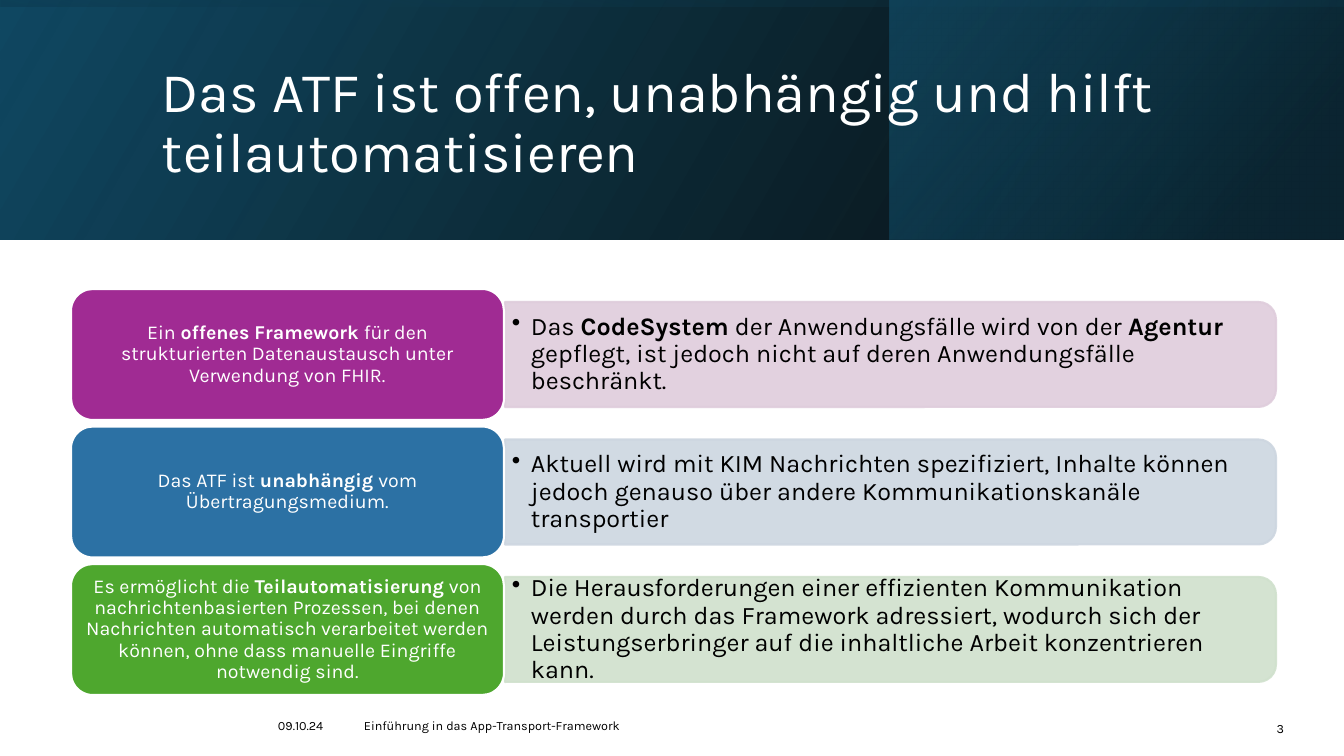
import pptx
import pptx.util
import pptx.dml.color
import pptx.enum.shapes
import pptx.enum.text
import pptx.oxml
import pptx.oxml.ns

FONT = "Karla"
TITLE = "Das ATF ist offen, unabhängig und hilft teilautomatisieren"

# Header layers: box, rotation, gradient angle, stops (position, colour, opacity)
HEADER_LAYERS = [
    ((0, 0, 1344, 240), 0, 330, [(0, "000000", 96), (100, "104862", 100)]),
    ((890, 0, 453, 240), 0, 320, [(19, "0B3041", 68), (100, "156082", 48)]),
    ((552, -552, 240, 1344), 270, 350, [(23, "104862", 16), (99, "000000", 45)]),
]

# Rows: label colour, panel colour, label runs, panel runs (text, bold)
ROWS = [
    ("A02B93", "DFCDDC",
     [("Ein ", False), ("offenes Framework ", True),
      ("für den strukturierten Datenaustausch unter Verwendung von FHIR.", False)],
     [("Das ", False), ("CodeSystem", True),
      (" der Anwendungsfälle wird von der ", False), ("Agentur ", True),
      ("gepflegt, ist jedoch nicht auf deren Anwendungsfälle beschränkt.", False)]),
    ("2C71A4", "CDD6E0",
     [("Das ATF ist ", False), ("unabhängig ", True),
      ("vom Übertragungsmedium.", False)],
     [("Aktuell wird mit KIM Nachrichten spezifiziert, Inhalte können jedoch "
       "genauso über andere Kommunikationskanäle transportier", False)]),
    ("4EA72E", "D0E1CD",
     [("Es ermöglicht die ", False), ("Teilautomatisierung", True),
      (" von nachrichtenbasierten Prozessen, bei denen Nachrichten automatisch "
       "verarbeitet werden können, ohne dass manuelle Eingriffe notwendig sind.", False)],
     [("Die Herausforderungen einer effizienten Kommunikation werden durch das "
       "Framework adressiert, wodurch sich der Leistungserbringer auf die "
       "inhaltliche Arbeit konzentrieren kann.", False)]),
]

ALIGN = pptx.enum.text.PP_ALIGN
ANCHOR = pptx.enum.text.MSO_ANCHOR
SHAPE = pptx.enum.shapes.MSO_SHAPE

FOOTER = [
    ("09.10.24", (278, 713, 76, 20), ALIGN.LEFT),
    ("Einführung in das App-Transport-Framework", (364, 713, 715, 20), ALIGN.LEFT),
    ("3", (1208, 716, 76, 20), ALIGN.RIGHT),
]

LABEL_LEFT, LABEL_WIDTH, LABEL_HEIGHT = 71, 433, 131
PANEL_LEFT, PANEL_WIDTH, PANEL_HEIGHT = 505, 771, 105
PANEL_TEXT_WIDTH, PANEL_TEXT_HEIGHT = 766, 95
FIRST_TOP, ROW_PITCH = 289, 137.5


def px(length):
    return round(length * 914400 / 100.8)


def rgb(colour):
    return pptx.dml.color.RGBColor.from_string(colour)


def add_box(kind, box):
    shape = slide.shapes.add_shape(kind, *map(px, box))
    shape.shadow.inherit = False
    return shape


def set_opacity(fill, percent):
    colour = fill._xPr.find(".//" + pptx.oxml.ns.qn("a:srgbClr"))
    alpha = colour.makeelement(pptx.oxml.ns.qn("a:alpha"), {"val": str(percent * 1000)})
    colour.append(alpha)


def set_gradient(shape, angle, stops):
    stop_xml = "".join(
        f'<a:gs pos="{position * 1000}"><a:srgbClr val="{colour}">'
        f'<a:alpha val="{opacity * 1000}"/></a:srgbClr></a:gs>'
        for position, colour, opacity in stops)
    gradient = pptx.oxml.parse_xml(
        f'<a:gradFill {pptx.oxml.ns.nsdecls("a")} rotWithShape="1">'
        f'<a:gsLst>{stop_xml}</a:gsLst>'
        f'<a:lin ang="{angle * 60000}" scaled="0"/></a:gradFill>')
    shape.fill.background()
    properties = shape._element.spPr
    properties.replace(properties.find(pptx.oxml.ns.qn("a:noFill")), gradient)


def set_frame(shape, anchor, side, top):
    frame = shape.text_frame
    frame.word_wrap = True
    frame.auto_size = pptx.enum.text.MSO_AUTO_SIZE.NONE
    frame.vertical_anchor = anchor
    frame.margin_left = frame.margin_right = px(side)
    frame.margin_top = frame.margin_bottom = px(top)
    return frame.paragraphs[0]


def write(paragraph, runs, size, colour, align, line_spacing=0.9):
    paragraph.alignment = align
    paragraph.line_spacing = line_spacing
    for text, bold in runs:
        run = paragraph.add_run()
        run.text = text
        run.font.name = FONT
        run.font.size = pptx.util.Pt(size)
        run.font.bold = bold
        run.font.color.rgb = rgb(colour)


def add_bullet(paragraph, indent):
    properties = paragraph._p.get_or_add_pPr()
    properties.set("marL", str(px(indent)))
    properties.set("indent", str(-px(indent)))
    properties.append(pptx.oxml.parse_xml(
        f'<a:buChar {pptx.oxml.ns.nsdecls("a")} char="•"/>'))


presentation = pptx.Presentation()
presentation.slide_width, presentation.slide_height = px(1344), px(756)
slide = presentation.slides.add_slide(presentation.slide_layouts[5])

# Header band
for box, rotation, angle, stops in HEADER_LAYERS:
    layer = add_box(SHAPE.RECTANGLE, box)
    layer.rotation = rotation
    layer._element.spPr.xfrm.set("flipH", "1")
    set_gradient(layer, angle, stops)
    layer.line.fill.background()

# Title, in front of the band
title = slide.shapes.title
title.left, title.top, title.width, title.height = map(px, (152, 38, 1072, 173))
title._element.getparent().append(title._element)
write(set_frame(title, ANCHOR.MIDDLE, 10, 5), [(TITLE, False)], 40, "FFFFFF", ALIGN.LEFT)

# Rows of label and panel, centred on one line each
for row, (label_colour, panel_colour, label_runs, panel_runs) in enumerate(ROWS):
    top = FIRST_TOP + row * ROW_PITCH
    middle = top + LABEL_HEIGHT / 2

    # The panel is a standing shape turned by 90 degrees
    panel = add_box(SHAPE.ROUND_2_SAME_RECTANGLE,
                    (PANEL_LEFT + (PANEL_WIDTH - PANEL_HEIGHT) / 2,
                     middle - PANEL_WIDTH / 2, PANEL_HEIGHT, PANEL_WIDTH))
    panel.rotation = 90
    panel.line.width = pptx.util.Pt(1.5)
    for fill in (panel.fill, panel.line.fill):
        fill.solid()
        fill.fore_color.rgb = rgb(panel_colour)
        set_opacity(fill, 90)

    panel_text = slide.shapes.add_textbox(*map(px, (
        PANEL_LEFT, middle - PANEL_TEXT_HEIGHT / 2, PANEL_TEXT_WIDTH, PANEL_TEXT_HEIGHT)))
    paragraph = set_frame(panel_text, ANCHOR.MIDDLE, 7, 4)
    add_bullet(paragraph, 19)
    write(paragraph, panel_runs, 18, "000000", ALIGN.LEFT)

    label = add_box(SHAPE.ROUNDED_RECTANGLE, (LABEL_LEFT, top, LABEL_WIDTH, LABEL_HEIGHT))
    label.fill.solid()
    label.fill.fore_color.rgb = rgb(label_colour)
    label.line.color.rgb = rgb("FFFFFF")
    label.line.width = pptx.util.Pt(1.5)
    write(set_frame(label, ANCHOR.MIDDLE, 6, 3), label_runs, 14, "FFFFFF", ALIGN.CENTER)

# Footer
for text, box, align in FOOTER:
    note = slide.shapes.add_textbox(*map(px, box))
    write(set_frame(note, ANCHOR.BOTTOM, 0, 0), [(text, False)], 9, "000000", align, 1.0)

presentation.save("out.pptx")
